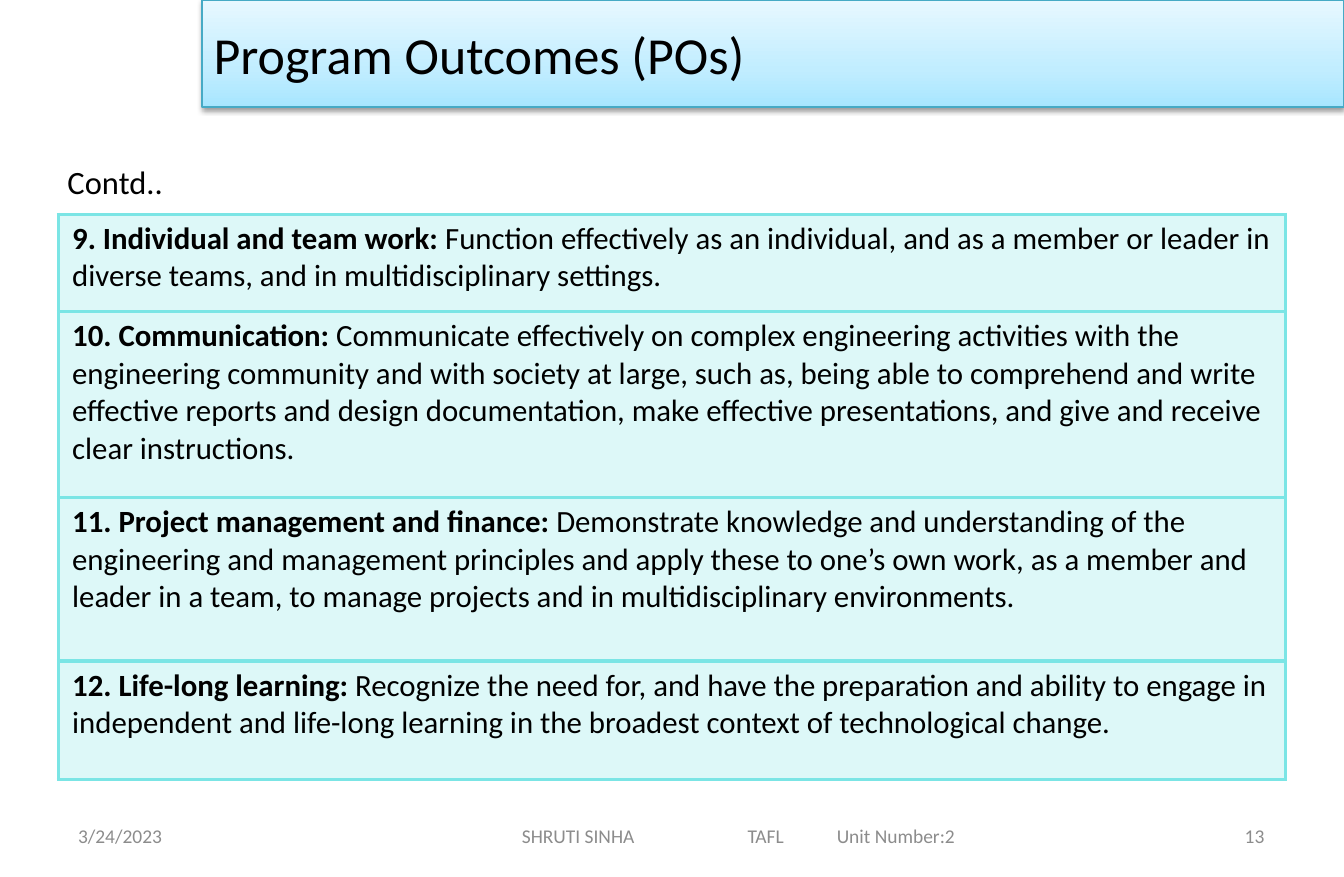
from dataclasses import dataclass

from lxml import etree
from pptx import Presentation
from pptx.dml.color import RGBColor
from pptx.enum.shapes import MSO_SHAPE
from pptx.enum.text import MSO_ANCHOR, PP_ALIGN
from pptx.oxml.ns import qn
from pptx.util import Pt

RECTANGLE = MSO_SHAPE.RECTANGLE
TOP, MIDDLE = MSO_ANCHOR.TOP, MSO_ANCHOR.MIDDLE
LEFT, RIGHT = PP_ALIGN.LEFT, PP_ALIGN.RIGHT


@dataclass(frozen=True)
class Theme:
    """Colours, font and type sizes of the slide."""
    font: str = "Calibri"
    ink: str = "000000"
    muted: str = "8C8C8C"
    accent: str = "7BE5E5"
    accent_opacity: int = 25
    banner_line: str = "46AAC5"
    banner_stops: tuple = ((0, "A7E6FF"), (35, "C1EDFF"), (100, "E7F8FF"))
    title_size: int = 32
    label_size: int = 20
    body_size: int = 19
    footer_size: int = 12


THEME = Theme()

OUTCOMES = [
    (60, "9. Individual and team work: ",
     "Function effectively as an individual, and as a member or leader in diverse teams, "
     "and in multidisciplinary settings."),
    (114.5, "10. Communication: ",
     "Communicate effectively on complex engineering activities with the engineering "
     "community and with society at large, such as, being able to comprehend and write "
     "effective reports and design documentation, make effective presentations, and give "
     "and receive clear instructions."),
    (100.5, "11. Project management and finance: ",
     "Demonstrate knowledge and understanding of the engineering and management principles "
     "and apply these to one’s own work, as a member and leader in a team, to manage "
     "projects and in multidisciplinary environments."),
    (73, "12. Life-long learning: ",
     "Recognize the need for, and have the preparation and ability to engage in independent "
     "and life-long learning in the broadest context of technological change."),
]


def add_element(parent, tag, **attributes):
    """Append a DrawingML element to the parent and return it."""
    element = etree.SubElement(parent, qn(tag))
    for name, value in attributes.items():
        element.set(name, str(value))
    return element


def write_text(frame, *runs, size, color=THEME.ink, align=LEFT, anchor=TOP, wrap=True, tabs=()):
    """Write (text, bold) runs as one formatted paragraph."""
    frame.word_wrap = wrap
    frame.vertical_anchor = anchor
    paragraph = frame.paragraphs[0]
    paragraph.alignment = align
    if tabs:
        tab_list = add_element(paragraph._p.get_or_add_pPr(), "a:tabLst")
        for position in tabs:
            add_element(tab_list, "a:tab", pos=int(Pt(position)), algn="l")
    for text, bold in runs:
        run = paragraph.add_run()
        run.text = text
        run.font.name = THEME.font
        run.font.size = Pt(size)
        run.font.bold = bold
        run.font.color.rgb = RGBColor.from_string(color)


def add_text(slide, box, text, **style):
    """Add a text box holding one plain run and return its frame."""
    frame = slide.shapes.add_textbox(*map(Pt, box)).text_frame
    write_text(frame, (text, False), **style)
    return frame


def add_banner(slide, box, title):
    """Add the gradient title banner with its soft shadow."""
    banner = slide.shapes.add_shape(RECTANGLE, *map(Pt, box))
    banner.fill.gradient()
    banner.fill.gradient_angle = 90
    banner.line.color.rgb = RGBColor.from_string(THEME.banner_line)
    banner.line.width = Pt(0.75)
    banner.shadow.inherit = False
    properties = banner._element.spPr
    stops = properties.find(".//" + qn("a:gsLst"))
    for stop in list(stops):
        stops.remove(stop)
    for position, color in THEME.banner_stops:
        add_element(add_element(stops, "a:gs", pos=position * 1000), "a:srgbClr", val=color)
    shadow = add_element(properties.find(qn("a:effectLst")), "a:outerShdw", blurRad=int(Pt(3.1)),
                         dist=int(Pt(1.6)), dir=5400000, rotWithShape=0)
    add_element(add_element(shadow, "a:srgbClr", val="000000"), "a:alpha", val=38000)
    write_text(banner.text_frame, (title, False), size=THEME.title_size, anchor=MIDDLE)


def style_cell(cell):
    """Give a table cell its insets, tinted fill and borders."""
    cell.margin_left = cell.margin_right = Pt(8.5)
    cell.margin_top = cell.margin_bottom = Pt(3.6)
    properties = cell._tc.get_or_add_tcPr()
    for side in ("a:lnL", "a:lnR", "a:lnT", "a:lnB"):
        border = add_element(properties, side, w=int(Pt(2.25)))
        add_element(add_element(border, "a:solidFill"), "a:srgbClr", val=THEME.accent)
    cell.fill.solid()
    cell.fill.fore_color.rgb = RGBColor.from_string(THEME.accent)
    color = properties.find(qn("a:solidFill")).find(qn("a:srgbClr"))
    add_element(color, "a:alpha", val=THEME.accent_opacity * 1000)


def add_outcomes(slide, box, outcomes):
    """Add the one-column table of program outcomes."""
    table = slide.shapes.add_table(len(outcomes), 1, *map(Pt, box)).table
    table.first_row = table.horz_banding = False
    for row, (height, heading, description) in zip(table.rows, outcomes):
        row.height = Pt(height)
        cell = row.cells[0]
        style_cell(cell)
        write_text(cell.text_frame, (heading, True), (description, False), size=THEME.body_size)


def add_footer(slide, box, date, course, number):
    """Add the date, course line and slide number across the box."""
    left, top, width, height = box
    side = 193
    style = {"size": THEME.footer_size, "color": THEME.muted, "anchor": MIDDLE}
    add_text(slide, (left, top, side, height), date, **style)
    frame = add_text(slide, (left + 186.5, top, 456, height), course, tabs=(139, 194), **style)
    frame.margin_left = Pt(94)
    add_text(slide, (left + width - side, top, side, height), number, align=RIGHT, **style)


def build_slide(presentation):
    """Lay out the program outcomes slide."""
    slide = presentation.slides.add_slide(presentation.slide_layouts[6])
    add_outcomes(slide, (36, 132, 756, 348), OUTCOMES)
    add_text(slide, (34.5, 96, 73.5, 31.5), "Contd..", size=THEME.label_size, wrap=False)
    add_banner(slide, (124.5, 0, 703.5, 66), "Program Outcomes (POs)")
    add_footer(slide, (41, 500.5, 745, 28.8), "3/24/2023",
               "SHRUTI SINHA\tTAFL\tUnit Number:2", "13")


def main():
    """Build and save the presentation."""
    presentation = Presentation()
    presentation.slide_width, presentation.slide_height = Pt(828), Pt(540)
    build_slide(presentation)
    presentation.save("out.pptx")


if __name__ == "__main__":
    main()
